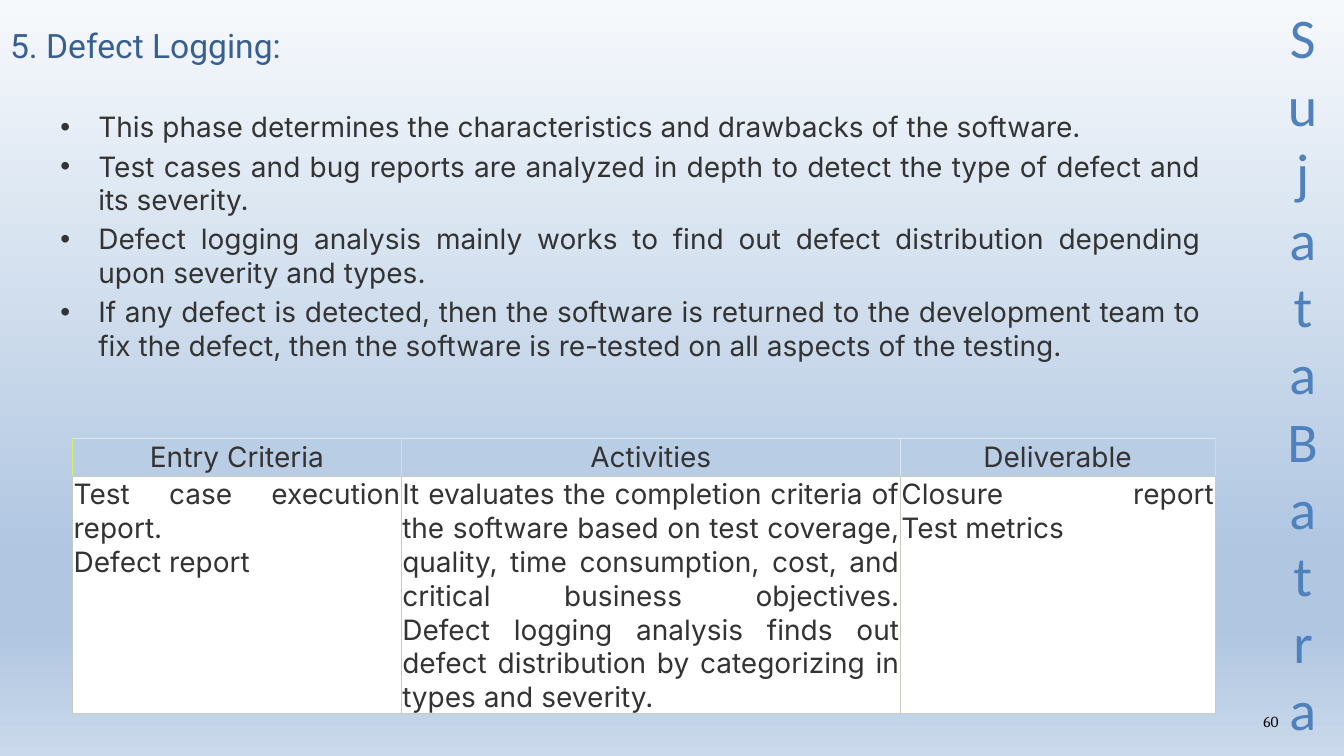
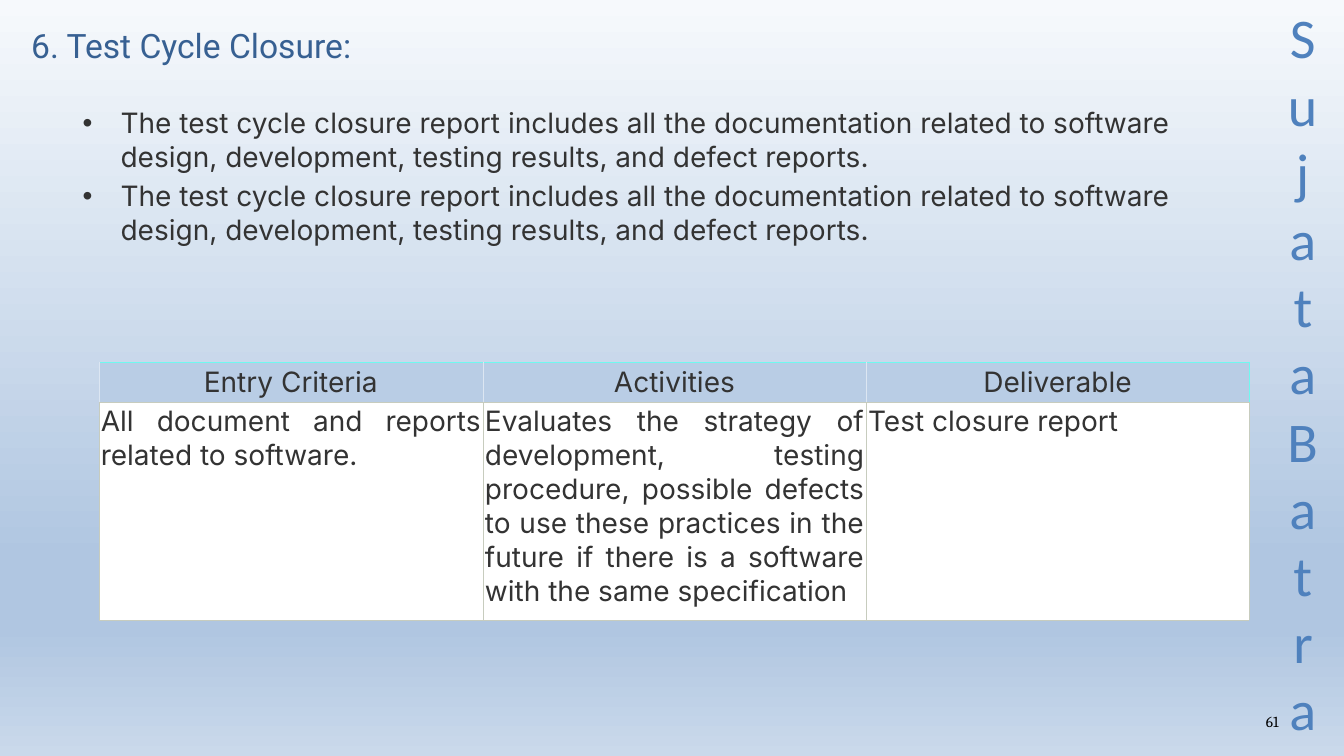
from lxml.etree import SubElement
from pptx import Presentation
from pptx.dml.color import RGBColor
from pptx.enum.text import MSO_ANCHOR, PP_ALIGN
from pptx.oxml.ns import qn
from pptx.util import Inches, Pt

COLORS = {"title": "376092", "text": "333333", "name": "4F81BD", "number": "000000",
          "head": "B9CDE5", "cell": "FFFFFF", "grid": "C7CCBE", "pale": "DCE6F2",
          "lime": "D0F369", "cyan": "70F8EF"}
GRADIENT = [(0, "F6F9FC"), (74, "B0C6E1"), (83, "B0C6E1"), (100, "CAD9EB")]
FONTS = {
    "title": {"name": "Roboto", "size": Pt(24), "bold": False},
    "text": {"name": "Inter", "size": Pt(20), "bold": False},
    "name": {"name": "Calibri", "size": Pt(40)},
    "number": {"name": "Cambria", "size": Pt(11)},
}
SIDE_NAME = "Sujata Batra"
HEADS = ["Entry Criteria", "Activities", "Deliverable"]
REPORT = ("The test cycle closure report includes all the documentation related to "
          "software design, development, testing results, and defect reports.")

# "marks" lists, for each head cell, the sides drawn in the accent colour.
SLIDES = [
    {"number": 60, "title": "5. Defect Logging:", "title_box": (0, 0.11, 9.02, 0.67),
     "body_box": (0.5, 1.04, 11.51, 5.92), "align": PP_ALIGN.JUSTIFY,
     "points": [
         "This phase determines the characteristics and drawbacks of the software.",
         "Test cases and bug reports are analyzed in depth to detect the type of defect "
         "and its severity.",
         "Defect logging analysis mainly works to find out defect distribution depending "
         "upon severity and types.",
         "If any defect is detected, then the software is returned to the development team "
         "to fix the defect, then the software is re-tested on all aspects of the testing."],
     "at": (0.72, 4.35), "cols": (3.26, 4.95, 3.12), "rows": (0.37, 2.35),
     "pads": (0.02, 0.01), "accent": "lime", "marks": ("LR", "L", "R"),
     "cells": [
         "Test case execution report.\vDefect report",
         "It evaluates the completion criteria of the software based on test coverage, "
         "quality, time consumption, cost, and critical business objectives.\v"
         "Defect logging analysis finds out defect distribution by categorizing in types "
         "and severity.",
         "Closure report\vTest metrics"]},
    {"number": 61, "title": "6. Test Cycle Closure:", "title_box": (0.21, 0.11, 8.69, 0.67),
     "body_box": (0.72, 1, 11.51, 5.92), "align": PP_ALIGN.LEFT,
     "points": [REPORT, REPORT],
     "at": (0.98, 3.59), "cols": (3.81, 3.8, 3.8), "rows": (0.4, 2.16),
     "pads": (0.03, 0.02), "accent": "cyan", "marks": ("T", "T", "TR"),
     "cells": [
         "All document and reports related to software.",
         "Evaluates the strategy of development, testing procedure, possible defects to "
         "use these practices in the future if there is a software with the same "
         "specification",
         "Test closure report"]},
]


def rgb(key):
    return RGBColor.from_string(COLORS[key])


def place(shape, box):
    for side, size in zip(("left", "top", "width", "height"), box):
        setattr(shape, side, Inches(size))


def write(frame, lines, style, align):
    frame.word_wrap = True
    frame.text = "\n".join(lines)
    for para in frame.paragraphs:
        para.alignment = align
        for run in para.runs:
            for key, value in FONTS[style].items():
                setattr(run.font, key, value)
            run.font.color.rgb = rgb(style)


def add_label(slide, box, text, style, align):
    label = slide.shapes.add_textbox(*map(Inches, box))
    write(label.text_frame, [text], style, align)


def set_stops(master):
    """Give the master the top-to-bottom gradient that all slides share."""
    fill = master.background.fill
    fill.gradient()
    fill.gradient_angle = 270
    stops = next(master.element.iter(qn("a:gsLst")))
    for stop in list(stops):
        stops.remove(stop)
    for pos, color in GRADIENT:
        stop = SubElement(stops, qn("a:gs"), pos=str(pos * 1000))
        SubElement(stop, qn("a:srgbClr"), val=color)


def set_edges(cell, edges):
    """Draw thin cell borders; they must come before the fill in the XML."""
    props = cell._tc.get_or_add_tcPr()
    for place_no, side in enumerate("LRTB"):
        line = SubElement(props, qn("a:ln" + side), w=str(Pt(0.25)))
        fill = SubElement(line, qn("a:solidFill"))
        SubElement(fill, qn("a:srgbClr"), val=COLORS[edges[side]])
        props.insert(place_no, line)


def add_grid(slide, data):
    cols, rows = data["cols"], data["rows"]
    box = (*data["at"], sum(cols), sum(rows))
    table = slide.shapes.add_table(2, len(cols), *map(Inches, box)).table
    table.first_row = table.horz_banding = False
    for col, width in zip(table.columns, cols):
        col.width = Inches(width)
    for row, height in zip(table.rows, rows):
        row.height = Inches(height)
    kinds = [(HEADS, "head", PP_ALIGN.CENTER), (data["cells"], "cell", PP_ALIGN.JUSTIFY)]
    for r, (texts, fill, align) in enumerate(kinds):
        for c, text in enumerate(texts):
            cell = table.cell(r, c)
            for side in ("left", "right", "top", "bottom"):
                setattr(cell, "margin_" + side, Inches(data["pads"][r]))
            write(cell.text_frame, [text], "text", align)
            cell.fill.solid()
            cell.fill.fore_color.rgb = rgb(fill)
            edges = dict.fromkeys("LRTB", "grid")
            if r == 0:
                edges.update(dict.fromkeys("LRT", "pale"))
                edges.update(dict.fromkeys(data["marks"][c], data["accent"]))
            set_edges(cell, edges)


def add_page(deck, data):
    slide = deck.slides.add_slide(deck.slide_layouts[1])
    add_label(slide, (9.67, 7.02, 3.11, 0.4), str(data["number"]), "number", PP_ALIGN.RIGHT)
    add_label(slide, (12.64, -0.02, 0.56, 7.51), SIDE_NAME, "name", PP_ALIGN.CENTER)
    title, body = slide.shapes.title, slide.placeholders[1]
    place(title, data["title_box"])
    write(title.text_frame, [data["title"]], "title", PP_ALIGN.LEFT)
    title.text_frame.vertical_anchor = MSO_ANCHOR.MIDDLE
    place(body, data["body_box"])
    write(body.text_frame, data["points"], "text", data["align"])
    add_grid(slide, data)


def main():
    deck = Presentation()
    deck.slide_width, deck.slide_height = Inches(13.33), Inches(7.5)
    set_stops(deck.slide_master)
    for data in SLIDES:
        add_page(deck, data)
    deck.save("out.pptx")


if __name__ == "__main__":
    main()
